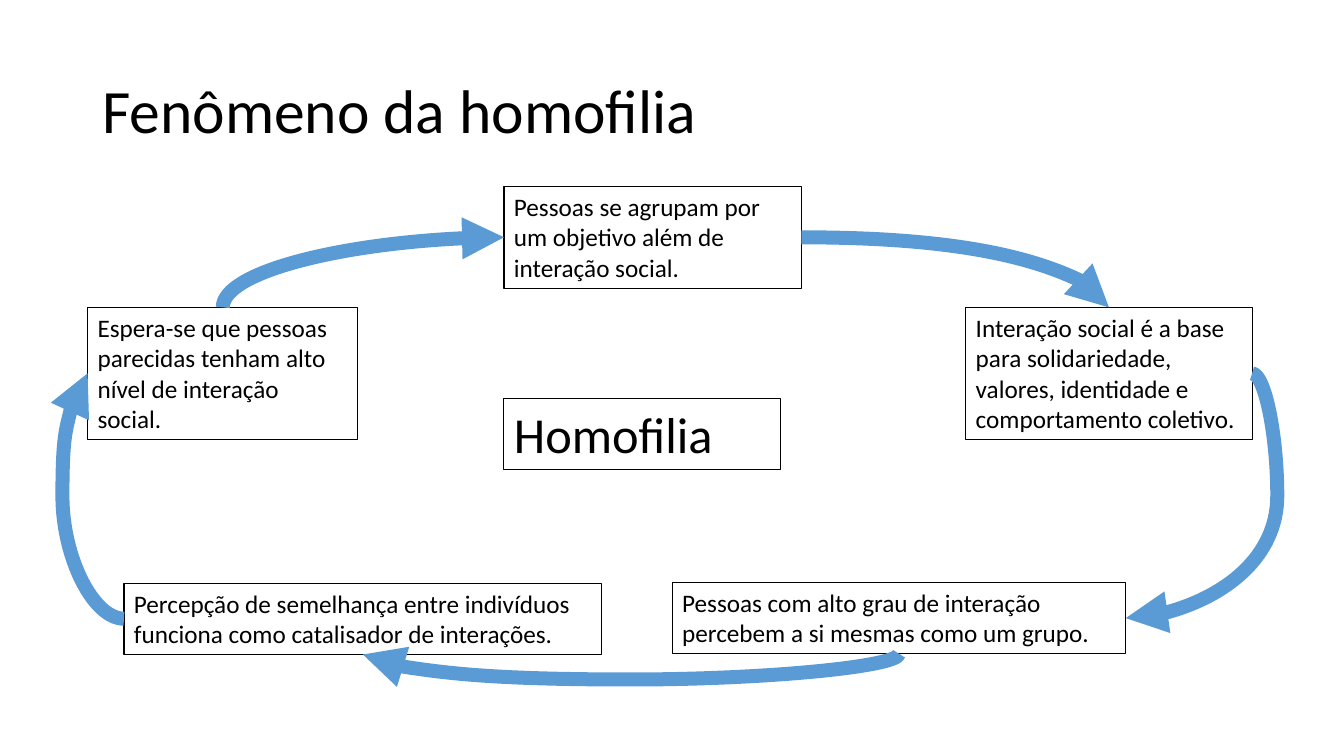
"""Builds the slide on the homophily cycle: five boxes joined by curved arrows."""
from lxml import etree
from pptx import Presentation
from pptx.dml.color import RGBColor
from pptx.enum.shapes import MSO_CONNECTOR
from pptx.enum.text import MSO_ANCHOR, MSO_AUTO_SIZE
from pptx.oxml.ns import qn
from pptx.util import Pt

CURVE = MSO_CONNECTOR.CURVE
TOP, MIDDLE = MSO_ANCHOR.TOP, MSO_ANCHOR.MIDDLE
FIT, NO_FIT = MSO_AUTO_SIZE.SHAPE_TO_FIT_TEXT, MSO_AUTO_SIZE.NONE

FONT, BLACK, BLUE = "Calibri", "000000", "5B9BD5"
SITES = {"top": 0, "left": 1, "bottom": 2, "right": 3}

TITLE = ("Fenômeno da homofilia", (66, 28.8, 828, 104.4))
CENTRE = ("Homofilia", (360, 284.4, 197.3, 51))
STEPS = {
    "group": ("Pessoas se agrupam por um objetivo além de interação social.",
              (360, 133.2, 212.4, 72.7)),
    "base": ("Interação social é a base para solidariedade, valores, identidade "
             "e comportamento coletivo.", (689.9, 219.6, 204.5, 94.3)),
    "degree": ("Pessoas com alto grau de interação percebem a si mesmas como um grupo.",
               (480.2, 416, 324, 51)),
    "likeness": ("Percepção de semelhança entre indivíduos funciona como catalisador "
                 "de interações.", (88.6, 416.5, 341.3, 51)),
    "expected": ("Espera-se que pessoas parecidas tenham alto nível de interação social.",
                 (62.6, 219.6, 193, 94.3)),
}
# fields: start step, start side, end step, end side, bulge beyond the start
ARROWS = [
    ("group", "right", "base", "top", None),
    ("base", "right", "degree", "right", 18),
    ("degree", "bottom", "likeness", "bottom", 18),
    ("likeness", "left", "expected", "left", -44),
    ("expected", "top", "group", "left", None),
]


def rgb(hex_color):
    """Turn a hex string into a colour."""
    return RGBColor.from_string(hex_color)


def add_text(text, place, size=18, border=BLACK, anchor=TOP, spacing=1.0, fit=FIT):
    """Add a text box with one formatted paragraph."""
    box = slide.shapes.add_textbox(*map(Pt, place))
    if border:
        box.line.color.rgb = rgb(border)
        box.line.width = Pt(0.75)
    frame = box.text_frame
    frame.word_wrap = True
    frame.auto_size = fit
    frame.vertical_anchor = anchor
    paragraph = frame.paragraphs[0]
    paragraph.line_spacing = spacing
    run = paragraph.add_run()
    run.text = text
    run.font.name, run.font.size = FONT, Pt(size)
    run.font.color.rgb = rgb(BLACK)
    return box


def side_point(step, side):
    """Return the middle of one side of a step's box."""
    left, top, width, height = STEPS[step][1]
    return {
        "top": (left + width / 2, top),
        "left": (left, top + height / 2),
        "bottom": (left + width / 2, top + height),
        "right": (left + width, top + height / 2),
    }[side]


def add_arrow(start, start_side, end, end_side, bulge):
    """Join two steps with a curve that leaves at a right angle to its side."""
    (x1, y1), (x2, y2) = side_point(start, start_side), side_point(end, end_side)
    upright = start_side in ("top", "bottom")
    along, across = (y2 - y1, x1 - x2) if upright else (x2 - x1, y2 - y1)
    width, height = abs(along), abs(across)

    arrow = slide.shapes.add_connector(CURVE, Pt(x1), Pt(y1), Pt(x2), Pt(y2))
    arrow.begin_connect(boxes[start], SITES[start_side])
    arrow.end_connect(boxes[end], SITES[end_side])
    arrow.left, arrow.top = Pt((x1 + x2 - width) / 2), Pt((y1 + y2 - height) / 2)
    arrow.width, arrow.height = Pt(width), Pt(height)
    arrow.line.color.rgb = rgb(BLUE)
    arrow.line.width = Pt(10)

    properties = arrow.element.spPr
    frame = properties.find(qn("a:xfrm"))
    frame.set("rot", str(5400000 * upright))
    frame.set("flipH", str(int(along < 0)))
    frame.set("flipV", str(int(across < 0)))
    geometry = properties.find(qn("a:prstGeom"))
    if bulge is None:
        geometry.set("prst", "curvedConnector2")
    else:
        guides = geometry.find(qn("a:avLst"))
        share = round(bulge / along * 100000)
        etree.SubElement(guides, qn("a:gd"), name="adj1", fmla=f"val {share}")
    etree.SubElement(properties.find(qn("a:ln")), qn("a:tailEnd"), type="triangle")
    etree.SubElement(properties, qn("a:effectLst"))


deck = Presentation()
deck.slide_width, deck.slide_height = Pt(960), Pt(540)
slide = deck.slides.add_slide(deck.slide_layouts[6])

add_text(*TITLE, size=44, border=None, anchor=MIDDLE, spacing=0.9, fit=NO_FIT)
boxes = {step: add_text(*content) for step, content in STEPS.items()}
add_text(*CENTRE, size=36)
for route in ARROWS:
    add_arrow(*route)

deck.save("out.pptx")
